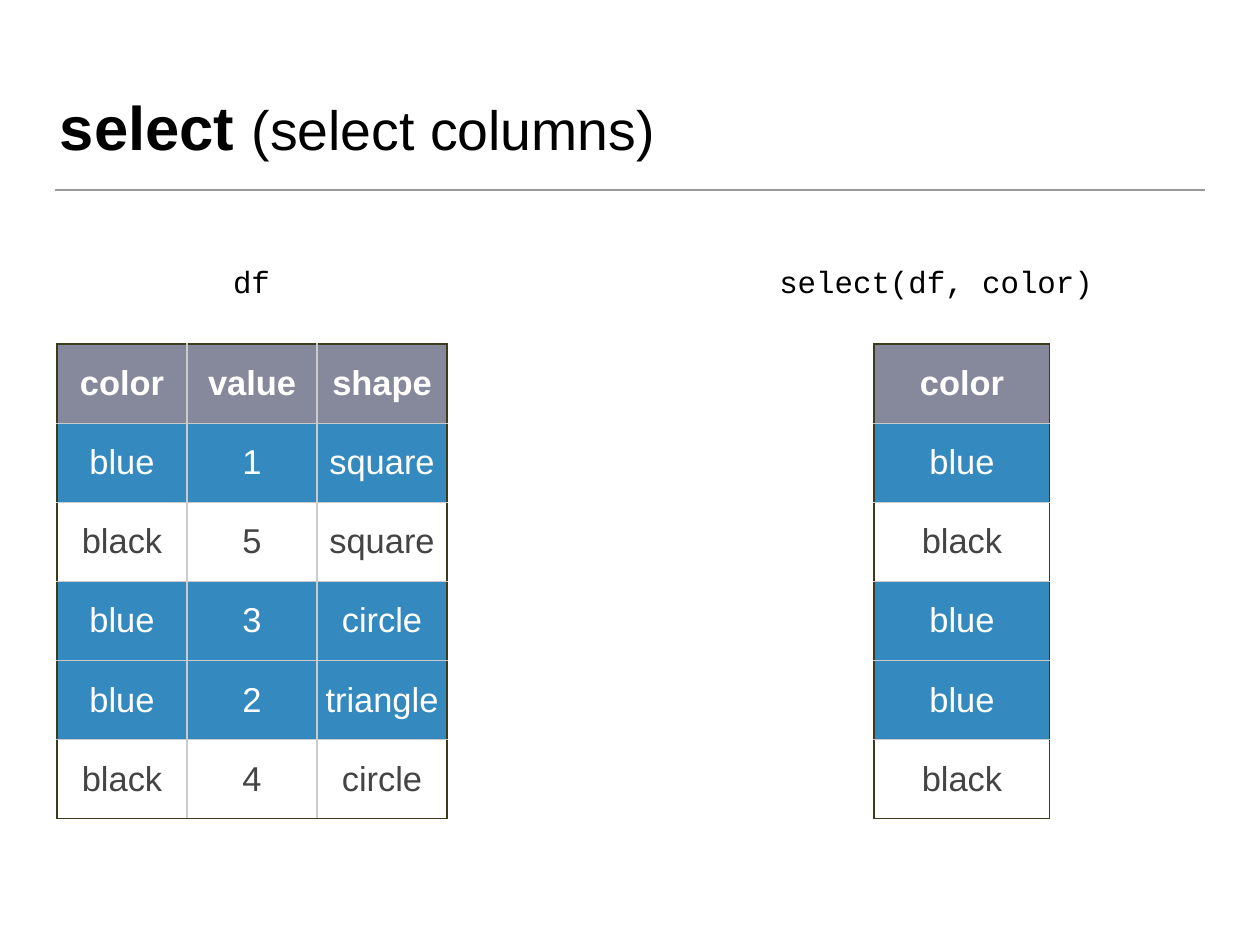
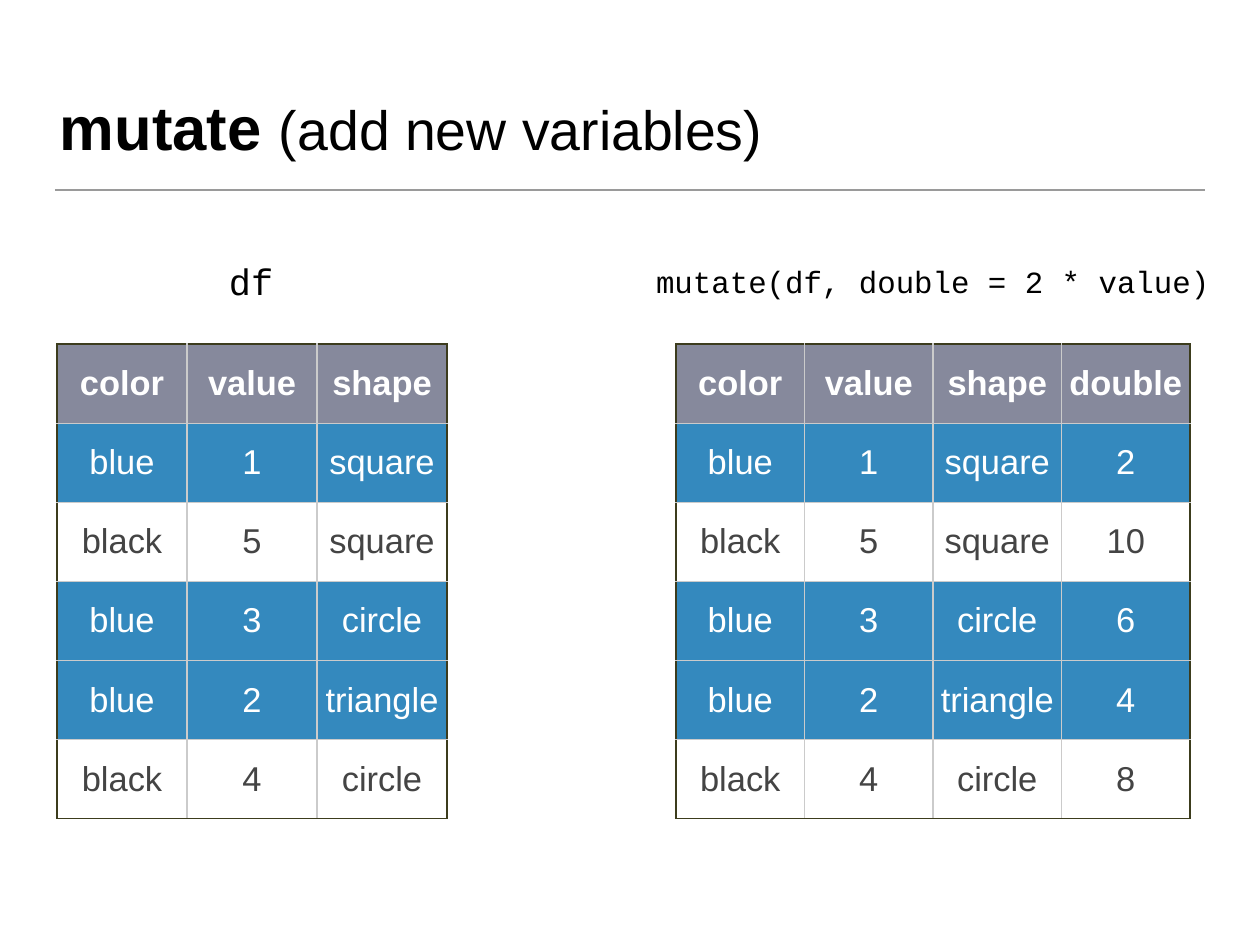
"""Build two slides showing what select and mutate do to a data frame."""
from lxml import etree
from pptx import Presentation
from pptx.dml.color import RGBColor
from pptx.enum import shapes, text
from pptx.oxml.ns import qn
from pptx.util import Pt

PX = 10321
BLACK = RGBColor(0x00, 0x00, 0x00)
WHITE = RGBColor(0xFF, 0xFF, 0xFF)
GRAPHITE = RGBColor(0x44, 0x44, 0x44)
RULE_GREY = RGBColor(0x9A, 0x9A, 0x9A)
HEADER_GREY = RGBColor(0x86, 0x89, 0x9C)
BLUE = RGBColor(0x34, 0x89, 0xBE)
OUTER_EDGE = RGBColor(0x3C, 0x3C, 0x1D)
INNER_EDGE = RGBColor(0xCB, 0xCB, 0xCB)
SANS, MONO = "Arial", "Courier New"
NO_TABLE_STYLE = "{2D5ABB26-0587-4C30-8999-92F81FD0307C}"
PADDING = 5
LABEL_MIDDLE = 281
TABLE_TOP, TABLE_HEIGHT = 344, 475

COLUMNS = {
    "color": ["blue", "black", "blue", "blue", "black"],
    "value": ["1", "5", "3", "2", "4"],
    "shape": ["square", "square", "circle", "triangle", "circle"],
    "double": ["2", "10", "6", "4", "8"],
}
DF = ["color", "value", "shape"]
SLIDES = [
    {
        "title": ("select ", "(select columns)"),
        "labels": [("df", 25, 251), ("select(df, color)", 25, 936)],
        "tables": [(DF, 57, 390), (["color"], 874, 176)],
    },
    {
        "title": ("mutate ", "(add new variables)"),
        "labels": [("df", 30, 251), ("mutate(df, double = 2 * value)", 25, 932)],
        "tables": [(DF, 57, 390), (DF + ["double"], 676, 514)],
    },
]


def add_run(paragraph, words, font, size, color, bold=False):
    run = paragraph.add_run()
    run.text = words
    run.font.name, run.font.size, run.font.bold = font, Pt(size), bold
    run.font.color.rgb = color


def pad(box):
    box.margin_left = box.margin_right = PADDING * PX
    box.margin_top = box.margin_bottom = PADDING * PX


deck = Presentation()
deck.slide_width, deck.slide_height = 1260 * PX, 945 * PX
layout = deck.slide_layouts[5]

for number, content in enumerate(SLIDES):
    slide = deck.slides.add_slide(layout)

    if number == 0:
        rule = slide.shapes.add_connector(
            shapes.MSO_CONNECTOR.STRAIGHT, 55 * PX, 190 * PX, 1205 * PX, 190 * PX)
        rule.line.color.rgb, rule.line.width = RULE_GREY, Pt(1)
        etree.SubElement(rule.element.spPr, qn("a:effectLst"))
        layout.shapes.element.append(rule.element)

    title = slide.shapes.title
    title.left, title.top, title.width, title.height = 55 * PX, 32 * PX, 1149 * PX, 136 * PX
    heading = title.text_frame
    pad(heading)
    heading.vertical_anchor = text.MSO_ANCHOR.BOTTOM
    heading.auto_size = text.MSO_AUTO_SIZE.NONE
    heading.paragraphs[0].alignment = text.PP_ALIGN.LEFT
    verb, meaning = content["title"]
    add_run(heading.paragraphs[0], verb, SANS, 50, BLACK, bold=True)
    add_run(heading.paragraphs[0], meaning, SANS, 45, BLACK)

    for code, size, center in content["labels"]:
        width = round(len(code) * size * 0.74) + 2 * PADDING + 4
        height = 2 * size - 2
        label = slide.shapes.add_textbox(
            (center - width // 2) * PX, (LABEL_MIDDLE - height // 2) * PX,
            width * PX, height * PX).text_frame
        pad(label)
        label.word_wrap = False
        label.auto_size = text.MSO_AUTO_SIZE.SHAPE_TO_FIT_TEXT
        label.vertical_anchor = text.MSO_ANCHOR.MIDDLE
        label.paragraphs[0].alignment = text.PP_ALIGN.CENTER
        add_run(label.paragraphs[0], code, MONO, size, BLACK)

    for names, left, width in content["tables"]:
        records = list(zip(*([name] + COLUMNS[name] for name in names)))
        frame = slide.shapes.add_table(
            len(records), len(names), left * PX, TABLE_TOP * PX, width * PX, TABLE_HEIGHT * PX).table
        frame.horz_banding = False
        frame._tbl.tblPr[0].text = NO_TABLE_STYLE
        for r, record in enumerate(records):
            for c, value in enumerate(record):
                cell = frame.cell(r, c)
                pad(cell)
                cell.vertical_anchor = text.MSO_ANCHOR.MIDDLE
                outer_sides = {
                    "lnL": c == 0, "lnR": c == len(names) - 1,
                    "lnT": r == 0, "lnB": r == len(records) - 1,
                }
                for side, outer in outer_sides.items():
                    edge = etree.SubElement(cell._tc.get_or_add_tcPr(), qn("a:" + side), w=str(Pt(1)))
                    paint = etree.SubElement(edge, qn("a:solidFill"))
                    etree.SubElement(
                        paint, qn("a:srgbClr"), val=str(OUTER_EDGE if outer else INNER_EDGE))
                if r > 0 and record[0] == "black":
                    cell.fill.background()
                    ink = GRAPHITE
                else:
                    cell.fill.solid()
                    cell.fill.fore_color.rgb = BLUE if r else HEADER_GREY
                    ink = WHITE
                entry = cell.text_frame.paragraphs[0]
                entry.alignment = text.PP_ALIGN.CENTER
                add_run(entry, value, SANS, 28, ink, bold=r == 0)

deck.save("out.pptx")
